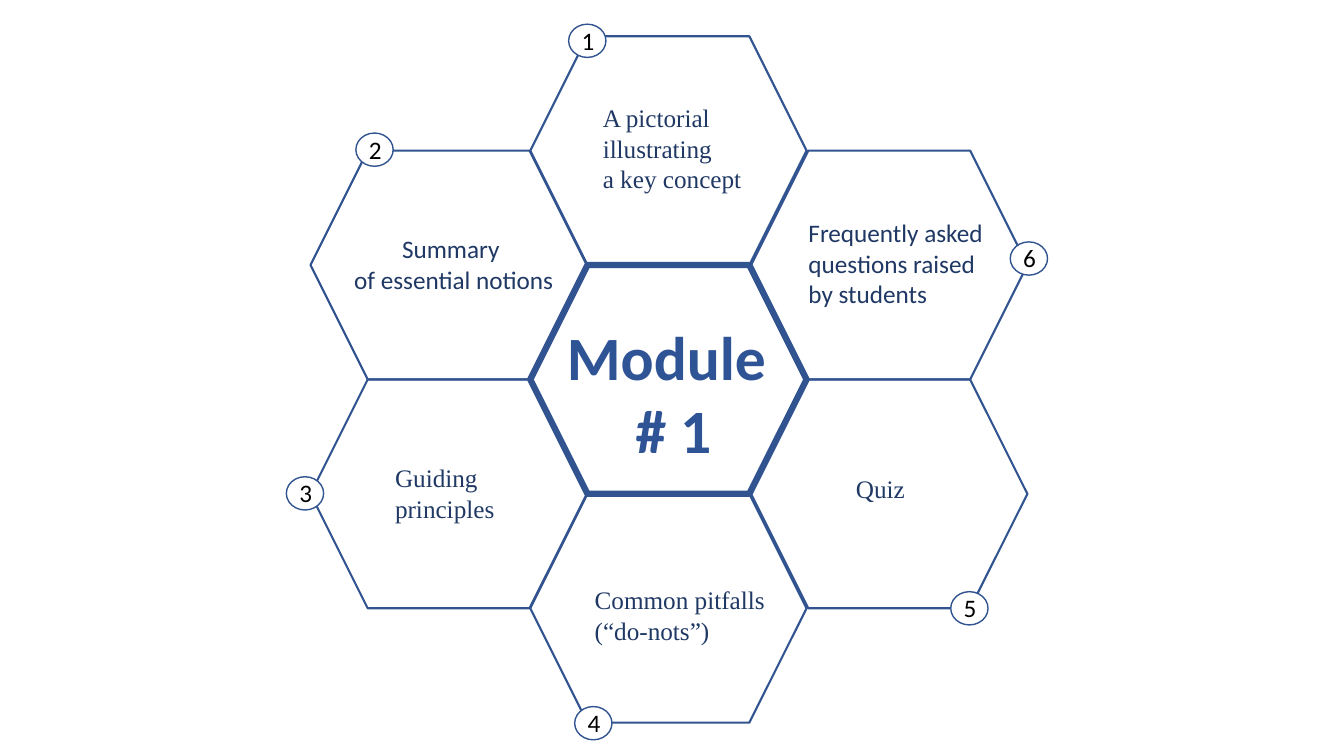
from pptx import Presentation
from pptx.dml.color import RGBColor
from pptx.enum import shapes, text
from pptx.util import Inches, Pt

OUTLINE = RGBColor(0x31, 0x53, 0x8F)
TITLE = RGBColor(0x2F, 0x54, 0x96)
LABEL = RGBColor(0x1F, 0x38, 0x64)
BLACK = RGBColor(0, 0, 0)
WHITE = RGBColor(255, 255, 255)

SANS, SERIF = "Calibri", "Times New Roman"
CELL_WIDTH, CELL_HEIGHT = 2.74, 2.27
COLUMNS = (3.08, 5.26, 7.45)
TOP = 0.36

# (column, half-row, line width)
CELLS = (
    (1, 2, 4.5), (1, 0, 1.5), (2, 1, 1.5), (0, 1, 1.5),
    (0, 3, 1.5), (2, 3, 1.5), (1, 4, 1.5),
)
LABELS = (
    ((5.88, 0.97, 1.59, 1.01), ("A pictorial", "illustrating", "a key concept"), SERIF, False),
    ((3.4, 2.27, 2.2, 0.71), ("Summary ", "of essential notions"), SANS, True),
    ((3.82, 4.54, 1.24, 0.71), ("Guiding", "principles"), SERIF, False),
    ((5.8, 5.75, 1.97, 0.71), ("Common pitfalls", "(“do-nots”)"), SERIF, False),
    ((8.39, 4.65, 0.69, 0.4), ("Quiz",), SERIF, False),
    ((7.92, 2.11, 2.01, 1.01), ("Frequently asked", "questions raised", "by students"), SANS, False),
)
BADGES = ((5.64, 0.24), (3.53, 1.32), (2.84, 4.73), (5.7, 7.01), (9.43, 5.87), (10.02, 2.4))


def add_outline(parent, kind, place, weight, fill=None):
    """Add an outlined preset shape, filled only when a colour is given."""
    shape = parent.shapes.add_shape(kind, *map(Inches, place))
    shape.shadow.inherit = False
    shape.line.color.rgb = OUTLINE
    shape.line.width = Pt(weight)
    if fill is None:
        shape.fill.background()
    else:
        shape.fill.solid()
        shape.fill.fore_color.rgb = fill
    return shape


def add_lines(parent, place, lines, colour, centred=False, **style):
    """Add a text box with one paragraph per line."""
    frame = parent.shapes.add_textbox(*map(Inches, place)).text_frame
    frame.word_wrap = False
    frame.auto_size = text.MSO_AUTO_SIZE.SHAPE_TO_FIT_TEXT
    for index, line in enumerate(lines):
        paragraph = frame.add_paragraph() if index else frame.paragraphs[0]
        paragraph.alignment = text.PP_ALIGN.CENTER if centred else text.PP_ALIGN.LEFT
        span = paragraph.add_run()
        span.text = line
        span.font.color.rgb = colour
        for name, value in style.items():
            setattr(span.font, name, value)


def add_cell(page, column, half_row, weight):
    """Add one hexagon of the honeycomb."""
    place = (COLUMNS[column], TOP + half_row * CELL_HEIGHT / 2, CELL_WIDTH, CELL_HEIGHT)
    cell = add_outline(page, shapes.MSO_SHAPE.HEXAGON, place, weight)
    cell.adjustments[0] = 0.25


def add_badge(page, number, left, top):
    """Add a numbered circle as one group."""
    group = page.shapes.add_group_shape()
    add_outline(group, shapes.MSO_SHAPE.OVAL, (left, top, 0.37, 0.33), 1, WHITE)
    add_lines(group, (left + 0.03, top - 0.04, 0.33, 0.4), (str(number),), BLACK,
              name=SANS, size=Pt(18))


def main():
    """Build the module honeycomb slide."""
    deck = Presentation()
    deck.slide_width, deck.slide_height = Inches(13.33), Inches(7.5)
    page = deck.slides.add_slide(deck.slide_layouts[6])
    for cell in CELLS:
        add_cell(page, *cell)
    add_lines(page, (5.51, 3.11, 2.34, 1.58), ("Module ", "# 1"), TITLE, True,
              name=SANS, size=Pt(44), bold=True)
    for place, lines, font, centred in LABELS:
        add_lines(page, place, lines, LABEL, centred, name=font, size=Pt(18))
    for number, (left, top) in enumerate(BADGES, 1):
        add_badge(page, number, left, top)
    deck.save("out.pptx")


if __name__ == "__main__":
    main()
